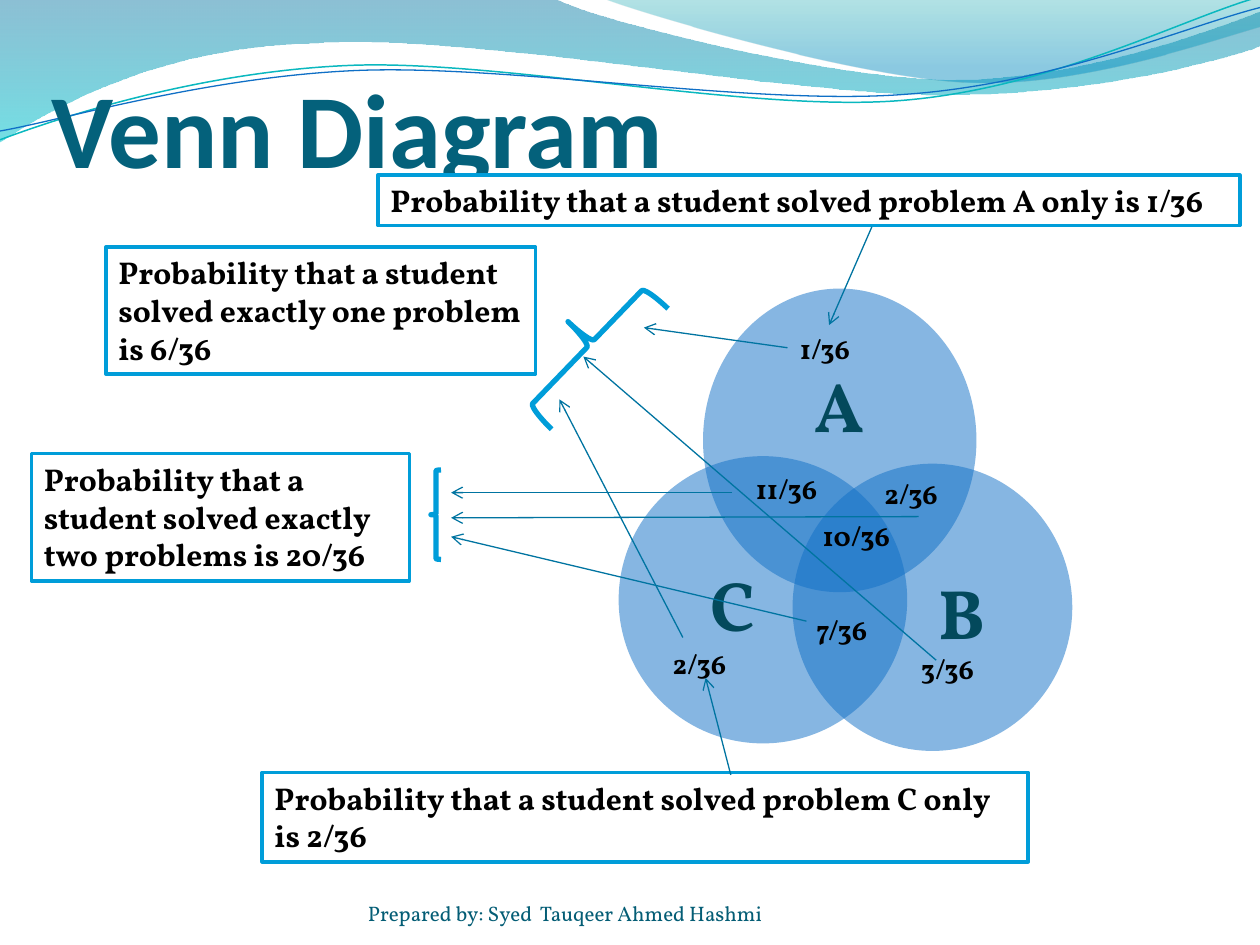
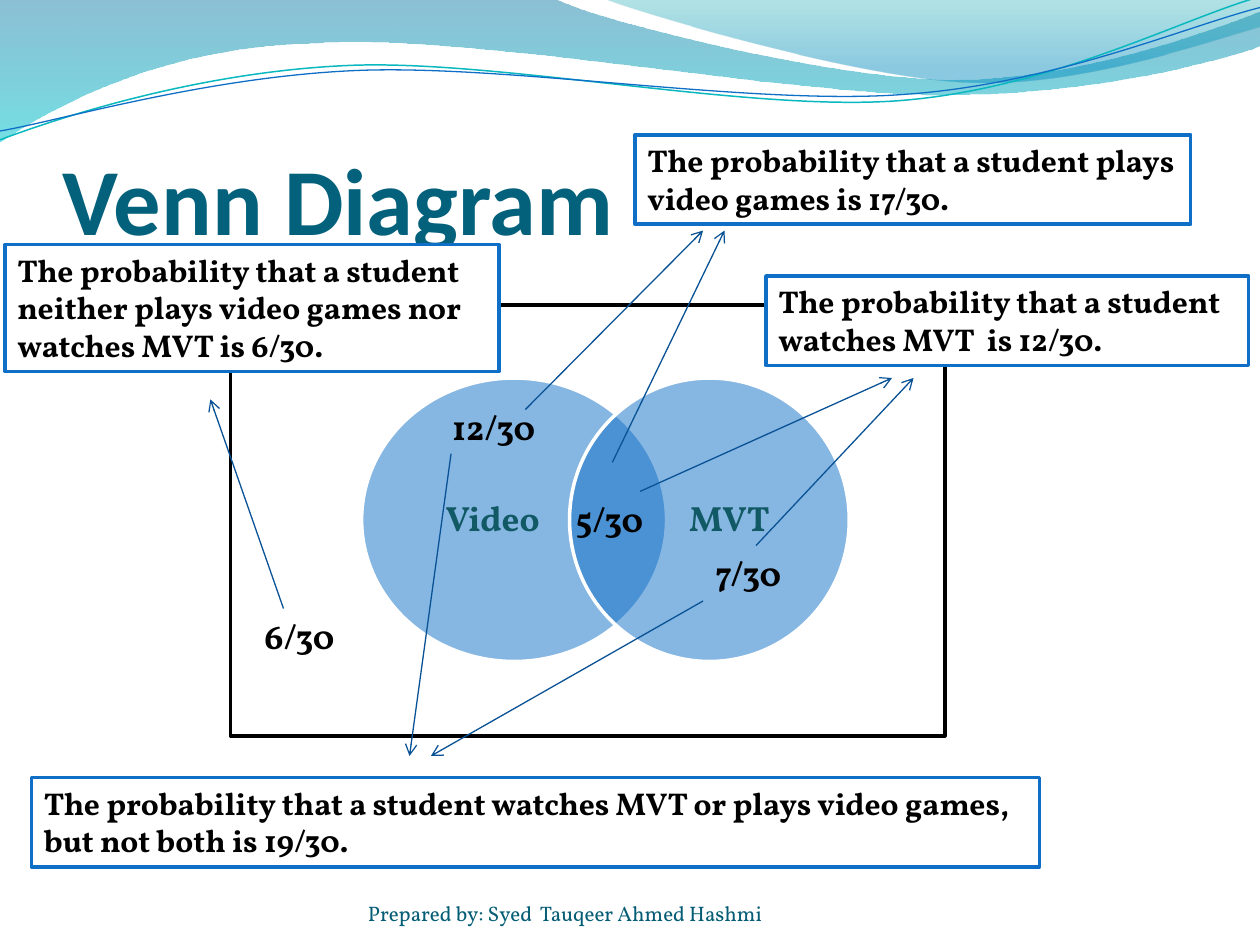
"""Two Venn diagram slides about probabilities."""
from lxml.etree import Element, SubElement
from pptx import Presentation
from pptx.dml.color import RGBColor
from pptx.enum.shapes import MSO_CONNECTOR, MSO_SHAPE
from pptx.enum.text import MSO_ANCHOR, MSO_AUTO_SIZE, PP_ALIGN
from pptx.oxml.ns import qn
from pptx.util import Pt

EMU_PER_PX = 9144
SERIF, SANS = "Vollkorn", "Calibri"
TITLE, FOOTER, BLACK, WHITE = "04617B", "045D75", "000000", "FFFFFF"
BLUE, SKY, TEAL, NAVY = "0F6FC6", "009DD9", "0074A1", "095295"

BIG_WAVE = [(0, 0), (440, -1), (476, 17, 664, 63, 758, 63),
            (853, 63, 958, 26, 1000, 9), (1001, 36),
            (983, 44, 870, 76, 746, 75), (622, 75, 382, 28, 257, 34),
            (129, 36, 46, 83, -1, 113)]
SMALL_WAVE = [(479, -1), (509, 11, 682, 62, 769, 65),
              (856, 69, 961, 32, 1000, 21), (1000, 0)]
UPPER_THREAD = [(0, 111), (48, 93, 158, 57, 277, 52),
                (395, 47, 593, 89, 713, 80), (833, 71, 938, 15, 998, -2)]
LOWER_THREAD = [(0, 104), (47, 96, 164, 61, 283, 56),
                (403, 51, 597, 84, 717, 75), (836, 67, 941, 21, 1000, 6)]


def px(length):
    """Turn pixels into EMU."""
    return round(length * EMU_PER_PX)


def colour(value):
    """Turn a hex string into a colour."""
    return RGBColor.from_string(value)


def set_alpha(shape, *percents):
    """Make the fill colours of a shape partly transparent, in order."""
    for element, percent in zip(shape._element.iter(qn("a:srgbClr")), percents):
        SubElement(element, qn("a:alpha")).set("val", str(percent * 1000))


def set_line(shape, value, width):
    """Give a shape or connector a solid line."""
    shape.line.color.rgb = colour(value)
    shape.line.width = Pt(width)


def bend(shape, segments):
    """Turn straight segments into Bezier curves where control points are given."""
    for element, segment in zip(list(shape._element.iter(qn("a:lnTo"))), segments[1:]):
        if len(segment) == 2:
            continue
        element.tag = qn("a:cubicBezTo")
        for index in (0, 1):
            x, y = segment[2 * index:2 * index + 2]
            control = Element(qn("a:pt"))
            control.set("x", str(px(x) - shape.left))
            control.set("y", str(px(y) - shape.top))
            element.insert(index, control)


def add_outline(page, segments, close):
    """Draw a freeform along the segments."""
    corners = [tuple(map(px, segment[-2:])) for segment in segments]
    builder = page.shapes.build_freeform(*corners[0])
    builder.add_line_segments(corners[1:], close=close)
    shape = builder.convert_to_shape()
    bend(shape, segments)
    shape.shadow.inherit = False
    return shape


def add_wave(page, segments, stops):
    """Draw a wave filled by a vertical gradient of (position, colour, alpha)."""
    wave = add_outline(page, segments, True)
    wave.line.fill.background()
    wave.fill.gradient()
    wave.fill.gradient_angle = 270
    for stop, (position, value, _) in zip(wave.fill.gradient_stops, stops):
        stop.position = position
        stop.color.rgb = colour(value)
    set_alpha(wave, *(alpha for _, _, alpha in stops))


def add_thread(page, segments, value, width):
    """Draw a thin open curve."""
    thread = add_outline(page, segments, False)
    thread.fill.background()
    set_line(thread, value, width)


def add_waves(page):
    """Draw the band at the top of a slide."""
    add_wave(page, BIG_WAVE, [(0, TEAL, 45), (1, "00C6CF", 55)])
    add_wave(page, SMALL_WAVE, [(0, "00A1A9", 30), (0.8, "008BBF", 45)])
    add_thread(page, UPPER_THREAD, "0AB8BF", 0.85)
    add_thread(page, LOWER_THREAD, BLUE, 0.75)


def write(shape, text, size, value, font=SERIF, bold=True, align=PP_ALIGN.LEFT):
    """Put one styled paragraph into a shape."""
    frame = shape.text_frame
    frame.word_wrap = True
    para = frame.paragraphs[0]
    para.text = text
    para.alignment = align
    para.font.name, para.font.size, para.font.bold = font, Pt(size), bold
    para.font.color.rgb = colour(value)
    return frame


def add_text(page, at, text, size, value, anchor, top=0, **style):
    """Add a text box without side margins."""
    box = page.shapes.add_textbox(*map(px, at))
    frame = write(box, text, size, value, **style)
    frame.vertical_anchor = anchor
    frame.margin_left = frame.margin_right = frame.margin_bottom = 0
    frame.margin_top = px(top)
    return frame


def add_title(page, left, top, size):
    """Add the slide title."""
    add_text(page, (left, top, 900, 125), "Venn Diagram", size, TITLE,
             MSO_ANCHOR.BOTTOM, top=5, font=SANS)


def add_footer(page):
    """Add the author line."""
    add_text(page, (292, 695, 367, 40), "Prepared by: Syed  Tauqeer Ahmed Hashmi",
             12, FOOTER, MSO_ANCHOR.BOTTOM, bold=False)


def add_preset(page, kind, at):
    """Add a preset shape without shadow."""
    shape = page.shapes.add_shape(kind, *map(px, at))
    shape.shadow.inherit = False
    return shape


def add_set(page, circle_at, name_at, name, size, value, rim=None):
    """Draw one set of the Venn diagram with its name."""
    circle = add_preset(page, MSO_SHAPE.OVAL, circle_at)
    circle.fill.solid()
    circle.fill.fore_color.rgb = colour(BLUE)
    set_alpha(circle, 50)
    if rim:
        set_line(circle, rim, 2)
    else:
        circle.line.fill.background()
    frame = add_text(page, name_at, name, size, value, MSO_ANCHOR.MIDDLE,
                     align=PP_ALIGN.CENTER)
    frame.paragraphs[0].line_spacing = 0.9


def add_fractions(page, fractions, size, height):
    """Add the probabilities, given as (left, top, width, text)."""
    for left, top, width, text in fractions:
        box = page.shapes.add_textbox(*map(px, (left, top, width, height)))
        write(box, text, size, BLACK).auto_size = MSO_AUTO_SIZE.SHAPE_TO_FIT_TEXT


def add_frame(page, kind, at, value):
    """Add a white shape with a coloured border."""
    shape = add_preset(page, kind, at)
    shape.fill.solid()
    shape.fill.fore_color.rgb = colour(WHITE)
    set_line(shape, value, 2)
    return shape


def add_callouts(page, callouts, value):
    """Add the bordered explanations, given as (place, text)."""
    for at, text in callouts:
        box = add_frame(page, MSO_SHAPE.RECTANGLE, at, value)
        frame = write(box, text, 18, BLACK)
        frame.vertical_anchor = MSO_ANCHOR.TOP
        frame.auto_size = MSO_AUTO_SIZE.SHAPE_TO_FIT_TEXT


def add_arrows(page, arrows, value):
    """Draw straight arrows, given as (x1, y1, x2, y2)."""
    for ends in arrows:
        arrow = page.shapes.add_connector(MSO_CONNECTOR.STRAIGHT, *map(px, ends))
        set_line(arrow, value, 0.75)
        SubElement(arrow.line._get_or_add_ln(), qn("a:tailEnd")).set("type", "arrow")
        SubElement(arrow._element.spPr, qn("a:effectLst"))


def add_brace(page, at, rotation=0, middle=0.5):
    """Draw a left brace."""
    brace = add_preset(page, MSO_SHAPE.LEFT_BRACE, at)
    brace.fill.background()
    set_line(brace, SKY, 3)
    brace.rotation = rotation
    brace.adjustments[1] = middle


def build_problems(page):
    """Fill the slide about problems A, B and C."""
    add_waves(page)
    add_title(page, 41, 25, 60)
    for circle_at, name_at, name in [
            ((558, 229, 217, 241), (587, 271, 159, 108), "A"),
            ((629, 368, 222, 228), (697, 427, 133, 125), "B"),
            ((491, 362, 229, 228), (513, 421, 138, 125), "C")]:
        add_set(page, circle_at, name_at, name, 40, "03495C")
    add_footer(page)
    add_fractions(page, [
        (643, 407, 80, "10/36"), (692, 373, 75, "2/36"), (590, 369, 88, "11/36"),
        (638, 481, 71, "7/36"), (625, 258, 67, "1/36"), (524, 508, 115, "2/36"),
        (721, 512, 71, "3/36")], 16, 37)
    solved = "Probability that a student solved "
    add_callouts(page, [
        ((208, 613, 608, 71), solved + "problem C only is 2/36"),
        ((300, 139, 684, 40), solved + "problem A only is 1/36"),
        ((84, 196, 341, 101), solved + "exactly one problem is 6/36"),
        ((25, 360, 300, 101), solved + "exactly two problems is 20/36")], SKY)
    add_brace(page, (441, 209, 50, 133), 44, 0.47)
    add_brace(page, (342, 373, 8, 71))
    add_arrows(page, [
        (625, 276, 511, 260), (580, 615, 560, 538), (743, 524, 463, 283),
        (542, 506, 444, 317), (692, 180, 658, 258), (581, 391, 358, 391),
        (640, 493, 358, 426), (729, 410, 358, 411)], TEAL)


def build_pastimes(page):
    """Fill the slide about video games and television."""
    add_waves(page)
    add_frame(page, MSO_SHAPE.FLOWCHART_PROCESS, (183, 242, 567, 342), BLACK)
    add_title(page, 50, 77, 54)
    for circle_at, name_at, name in [
            ((287, 300, 242, 225), (321, 327, 140, 172), "Video"),
            ((452, 300, 222, 225), (515, 327, 128, 172), "MVT")]:
        add_set(page, circle_at, name_at, name, 20, "115964", WHITE)
    add_footer(page)
    add_fractions(page, [
        (349, 317, 93, "12/30"), (447, 390, 79, "5/30"),
        (200, 483, 92, "6/30"), (558, 433, 83, "7/30")], 20, 44)
    add_arrows(page, [
        (417, 325, 558, 183), (486, 367, 575, 183), (508, 390, 708, 300),
        (600, 433, 725, 300), (358, 360, 325, 600), (558, 477, 342, 600),
        (225, 483, 167, 317)], NAVY)
    student = "The probability that a student "
    add_callouts(page, [
        ((504, 107, 441, 71), student + "plays video games is 17/30."),
        ((608, 219, 383, 71), student + "watches MVT  is 12/30."),
        ((25, 617, 800, 71),
         student + "watches MVT or plays video games, but not both is 19/30."),
        ((4, 194, 392, 101),
         student + "neither plays video games nor watches MVT is 6/30.")], BLUE)


def main():
    """Build and save the deck."""
    deck = Presentation()
    deck.slide_width, deck.slide_height = px(1000), px(750)
    for build in (build_problems, build_pastimes):
        build(deck.slides.add_slide(deck.slide_layouts[6]))
    deck.save("out.pptx")


if __name__ == "__main__":
    main()
